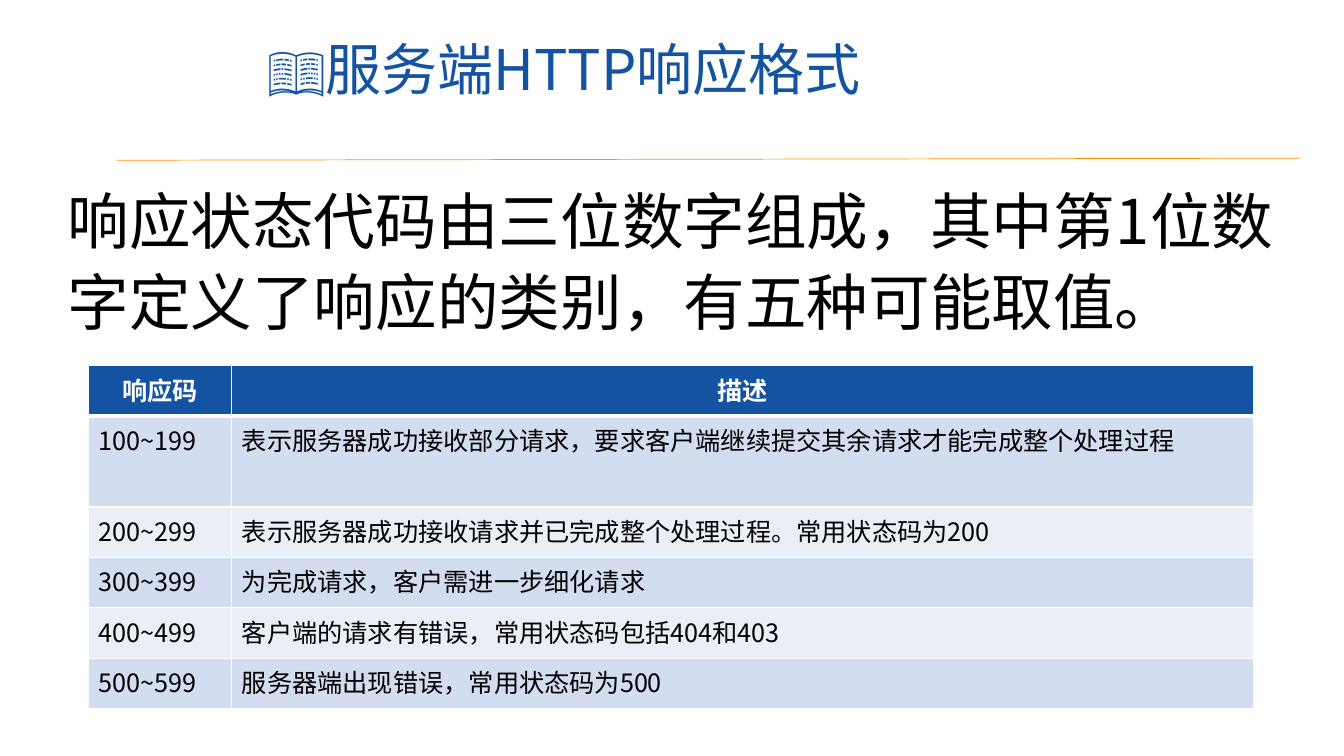
"""Build the slide on HTTP response codes."""
from dataclasses import dataclass

from lxml.etree import SubElement
from pptx import Presentation
from pptx.dml.color import RGBColor
from pptx.enum.text import MSO_ANCHOR, MSO_AUTO_SIZE, PP_ALIGN
from pptx.oxml.ns import qn
from pptx.util import Inches, Pt


@dataclass(frozen=True)
class Theme:
    """Colours, font and type sizes."""
    font: str = "Noto Sans CJK SC"
    blue: str = "1353A2"
    orange: str = "FF9300"
    black: str = "000000"
    white: str = "FFFFFF"
    bands: tuple[str, str] = ("D2DEEF", "EAEFF7")
    title: int = 40
    body: int = 44
    cell: int = 18


@dataclass(frozen=True)
class Box:
    """A place on the grid, in columns and rows."""
    col: float
    row: float
    cols: float
    rows: float


@dataclass(frozen=True)
class StatusClass:
    """A range of response codes, its meaning and its row height."""
    codes: str
    meaning: str
    rows: float = 5


THEME = Theme()
UNIT = Inches(0.1)
TITLE_BOX = Box(25.5, 2.9, 75.1, 7.7)
BODY_BOX = Box(5.7, 16.9, 123.1, 17.3)
TABLE_BOX = Box(8.8, 36.3, 115.5, 34)
CODE_COLS = 14.2
TITLE = "📖服务端HTTP响应格式"
BODY = "响应状态代码由三位数字组成，其中第1位数字定义了响应的类别，有五种可能取值。"
STATUS_CLASSES = (
    StatusClass("响应码", "描述"),
    StatusClass("100~199", "表示服务器成功接收部分请求，要求客户端继续提交其余请求才能完成整个处理过程", 9),
    StatusClass("200~299", "表示服务器成功接收请求并已完成整个处理过程。常用状态码为200"),
    StatusClass("300~399", "为完成请求，客户需进一步细化请求"),
    StatusClass("400~499", "客户端的请求有错误，常用状态码包括404和403"),
    StatusClass("500~599", "服务器端出现错误，常用状态码为500"),
)


def grid(n: float) -> int:
    """Turn grid units into a length."""
    return round(n * UNIT)


def place(box: Box) -> tuple[int, int, int, int]:
    """Turn a grid box into left, top, width and height."""
    return grid(box.col), grid(box.row), grid(box.cols), grid(box.rows)


def style_text(tf, size: int, color: str, align=PP_ALIGN.LEFT, bold: bool = False) -> None:
    """Format the only paragraph of a text frame."""
    p = tf.paragraphs[0]
    p.alignment = align
    font = p.runs[0].font
    font.size, font.bold, font.name = Pt(size), bold, THEME.font
    font.color.rgb = RGBColor.from_string(color)
    SubElement(p.runs[0]._r.get_or_add_rPr(), qn("a:ea"), typeface=THEME.font)


def fill_placeholder(sp, box: Box, text: str, size: int, color: str) -> None:
    """Move a placeholder and give it plain text without a bullet."""
    sp.left, sp.top, sp.width, sp.height = place(box)
    tf = sp.text_frame
    tf.text = text
    tf.word_wrap = True
    tf.auto_size = MSO_AUTO_SIZE.SHAPE_TO_FIT_TEXT
    tf.vertical_anchor = MSO_ANCHOR.TOP
    style_text(tf, size, color)
    p = tf.paragraphs[0]
    p.space_before = Pt(0)
    pPr = p._p.get_or_add_pPr()
    pPr.set("marL", "0")
    pPr.set("indent", "0")
    SubElement(pPr, qn("a:buNone"))


def add_rule(s) -> None:
    """Draw the thin line below the title."""
    rule = s.shapes.add_connector(1, grid(11.6), grid(15.9), grid(128.9), grid(15.7))
    rule.line.color.rgb = RGBColor.from_string(THEME.orange)
    rule.line.width = Pt(0.5)
    SubElement(rule._element.spPr, qn("a:effectLst"))


def set_borders(cell, top: int, bottom: int) -> None:
    """Draw white borders, the sides one point wide."""
    tcPr = cell._tc.get_or_add_tcPr()
    for i, (side, width) in enumerate((("L", 1), ("R", 1), ("T", top), ("B", bottom))):
        ln = tcPr.makeelement(qn(f"a:ln{side}"), {"w": str(Pt(width))})
        SubElement(SubElement(ln, qn("a:solidFill")), qn("a:srgbClr"), val=THEME.white)
        tcPr.insert(i, ln)


def add_status_table(s) -> None:
    """Add the table of response codes."""
    table = s.shapes.add_table(len(STATUS_CLASSES), 2, *place(TABLE_BOX)).table
    table.columns[0].width = grid(CODE_COLS)
    table.columns[1].width = grid(TABLE_BOX.cols - CODE_COLS)
    for i, status in enumerate(STATUS_CLASSES):
        header = i == 0
        table.rows[i].height = grid(status.rows)
        for cell, text in zip(table.rows[i].cells, (status.codes, status.meaning)):
            cell.text_frame.text = text
            style_text(cell.text_frame, THEME.cell, THEME.white if header else THEME.black,
                       PP_ALIGN.CENTER if header else PP_ALIGN.LEFT, header)
            cell.fill.solid()
            cell.fill.fore_color.rgb = RGBColor.from_string(
                THEME.blue if header else THEME.bands[(i - 1) % 2])
            set_borders(cell, 3 if i == 1 else 1, 3 if header else 1)


def main() -> None:
    """Build and save the slide."""
    prs = Presentation()
    prs.slide_width, prs.slide_height = Inches(13.33), Inches(7.5)
    s = prs.slides.add_slide(prs.slide_layouts[1])
    title, body = s.placeholders
    fill_placeholder(title, TITLE_BOX, TITLE, THEME.title, THEME.blue)
    add_rule(s)
    fill_placeholder(body, BODY_BOX, BODY, THEME.body, THEME.black)
    body.text_frame.paragraphs[0].line_spacing = 1.1
    add_status_table(s)
    prs.save("out.pptx")


if __name__ == "__main__":
    main()
